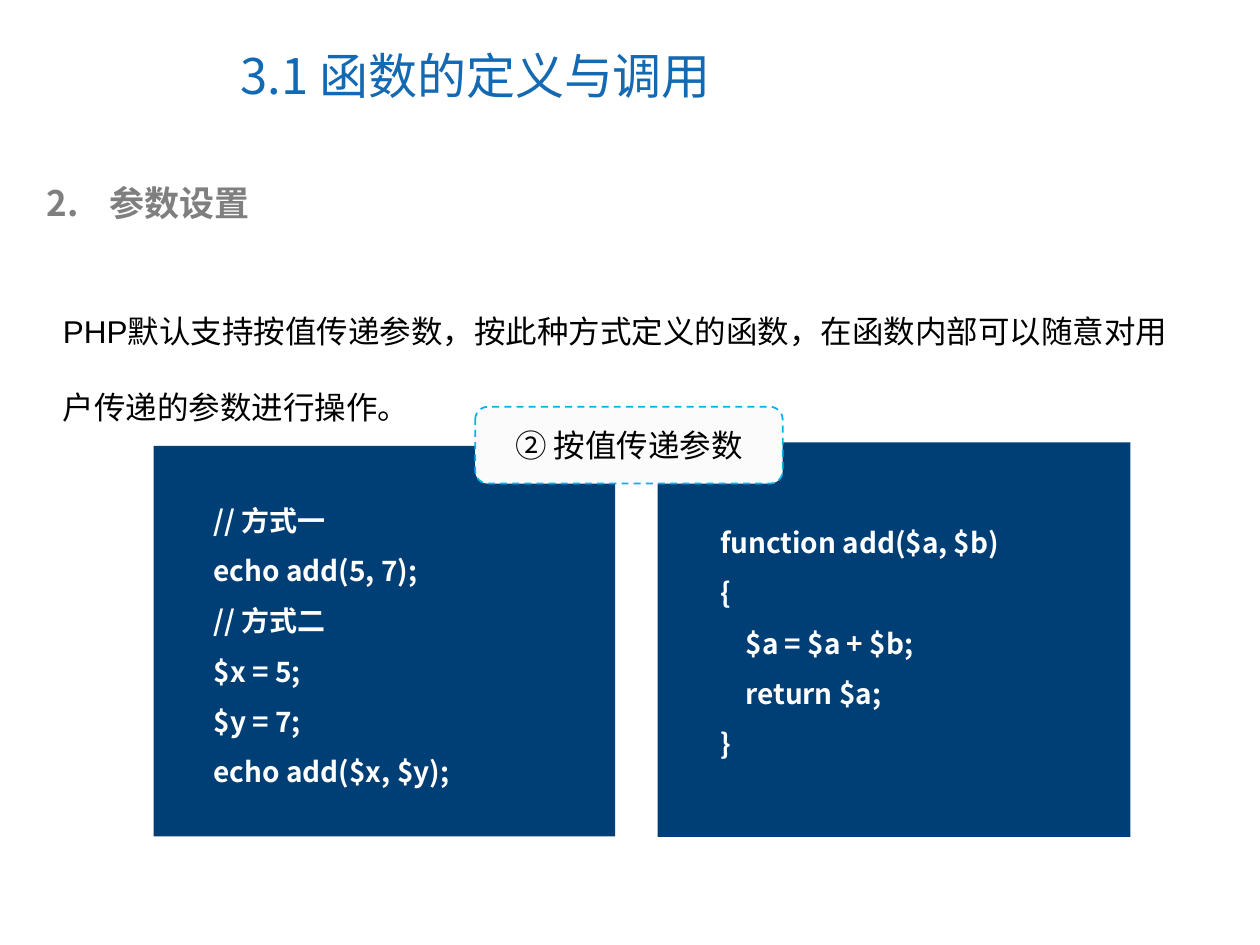
from dataclasses import dataclass

from lxml import etree
from pptx import Presentation
from pptx import util as u
from pptx.dml.color import RGBColor
from pptx.enum import dml, shapes, text
from pptx.oxml.ns import qn

HUES = {
    "title": "1369B2",
    "head": "7F7F7F",
    "ink": "000000",
    "panel": "003F75",
    "code": "FFFFFF",
    "tag": "FBFBFB",
    "edge": "00B4E9",
}
SANS = "Noto Sans CJK SC"


@dataclass
class Box:
    left: float
    top: float
    width: float
    height: float

    def span(self) -> list:
        return [u.Cm(n) for n in (self.left, self.top, self.width, self.height)]


@dataclass
class Panel:
    back: Box
    front: Box
    code: str


PANELS = [
    Panel(
        Box(13.26, 8.92, 9.53, 7.95),
        Box(14.27, 10.13, 8.33, 5.33),
        "function add($a, $b)\n{\n    $a = $a + $b;\n    return $a;\n}",
    ),
    Panel(
        Box(3.1, 8.99, 9.3, 7.87),
        Box(4.06, 9.68, 8.36, 6.35),
        "// 方式一\necho add(5, 7);\n// 方式二\n$x = 5;\n$y = 7;\necho add($x, $y);",
    ),
]


def tint(hue: str) -> RGBColor:
    return RGBColor.from_string(HUES[hue])


def number(para, start: int, hue: str) -> None:
    props = para._p.get_or_add_pPr()
    props.set("marL", str(u.Cm(1.27)))
    props.set("indent", str(u.Cm(-1.27)))
    color = etree.SubElement(props, qn("a:buClr"))
    etree.SubElement(color, qn("a:srgbClr"), val=HUES[hue])
    etree.SubElement(props, qn("a:buAutoNum"), type="arabicPeriod", startAt=str(start))


def write(shape, words: str, *, size: int, hue: str, font: str = SANS,
          bold: bool = False, gap: float = 1.0, start: int = 0,
          align=text.PP_ALIGN.LEFT, anchor=text.MSO_ANCHOR.TOP) -> None:
    frame = shape.text_frame
    frame.word_wrap = True
    frame.vertical_anchor = anchor
    for i, line in enumerate(words.split("\n")):
        para = frame.add_paragraph() if i else frame.paragraphs[0]
        if start:
            number(para, start + i, hue)
        para.alignment = align
        para.line_spacing = gap
        run = para.add_run()
        run.text = line
        run.font.size = u.Pt(size)
        run.font.bold = bold
        run.font.color.rgb = tint(hue)
        run.font.name = font
        etree.SubElement(run._r.get_or_add_rPr(), qn("a:ea"), typeface=SANS)


def label(slide, box: Box, words: str, **style) -> None:
    write(slide.shapes.add_textbox(*box.span()), words, **style)


def block(slide, kind, box: Box, hue: str):
    shape = slide.shapes.add_shape(kind, *box.span())
    shape.shadow.inherit = False
    shape.fill.solid()
    shape.fill.fore_color.rgb = tint(hue)
    shape.line.fill.background()
    return shape


def panel(slide, item: Panel) -> None:
    block(slide, shapes.MSO_SHAPE.RECTANGLE, item.back, "panel")
    label(slide, item.front, item.code, size=16, hue="code", bold=True, gap=1.5)


def badge(slide, box: Box, words: str) -> None:
    shape = block(slide, shapes.MSO_SHAPE.ROUNDED_RECTANGLE, box, "tag")
    shape.line.color.rgb = tint("edge")
    shape.line.width = u.Pt(1)
    shape.line.dash_style = dml.MSO_LINE.DASH
    write(shape, words, size=18, hue="ink", font="Arial",
          align=text.PP_ALIGN.CENTER, anchor=text.MSO_ANCHOR.MIDDLE)


def main() -> None:
    deck = Presentation()
    deck.slide_width, deck.slide_height = u.Cm(25.4), u.Cm(19.05)
    slide = deck.slides.add_slide(deck.slide_layouts[6])
    label(slide, Box(4.6, 0.43, 13.1, 2.16), "3.1 函数的定义与调用",
          size=28, hue="title", anchor=text.MSO_ANCHOR.MIDDLE)
    label(slide, Box(0.69, 3.53, 23.42, 1.12), "参数设置",
          size=20, hue="head", bold=True, start=2)
    label(slide, Box(1.02, 5.41, 23.34, 3.3),
          "PHP默认支持按值传递参数，按此种方式定义的函数，"
          "在函数内部可以随意对用户传递的参数进行操作。",
          size=18, hue="ink", font="Arial", gap=2.0)
    for item in PANELS:
        panel(slide, item)
    badge(slide, Box(9.58, 8.2, 6.2, 1.55), "② 按值传递参数")
    deck.save("out.pptx")


if __name__ == "__main__":
    main()
